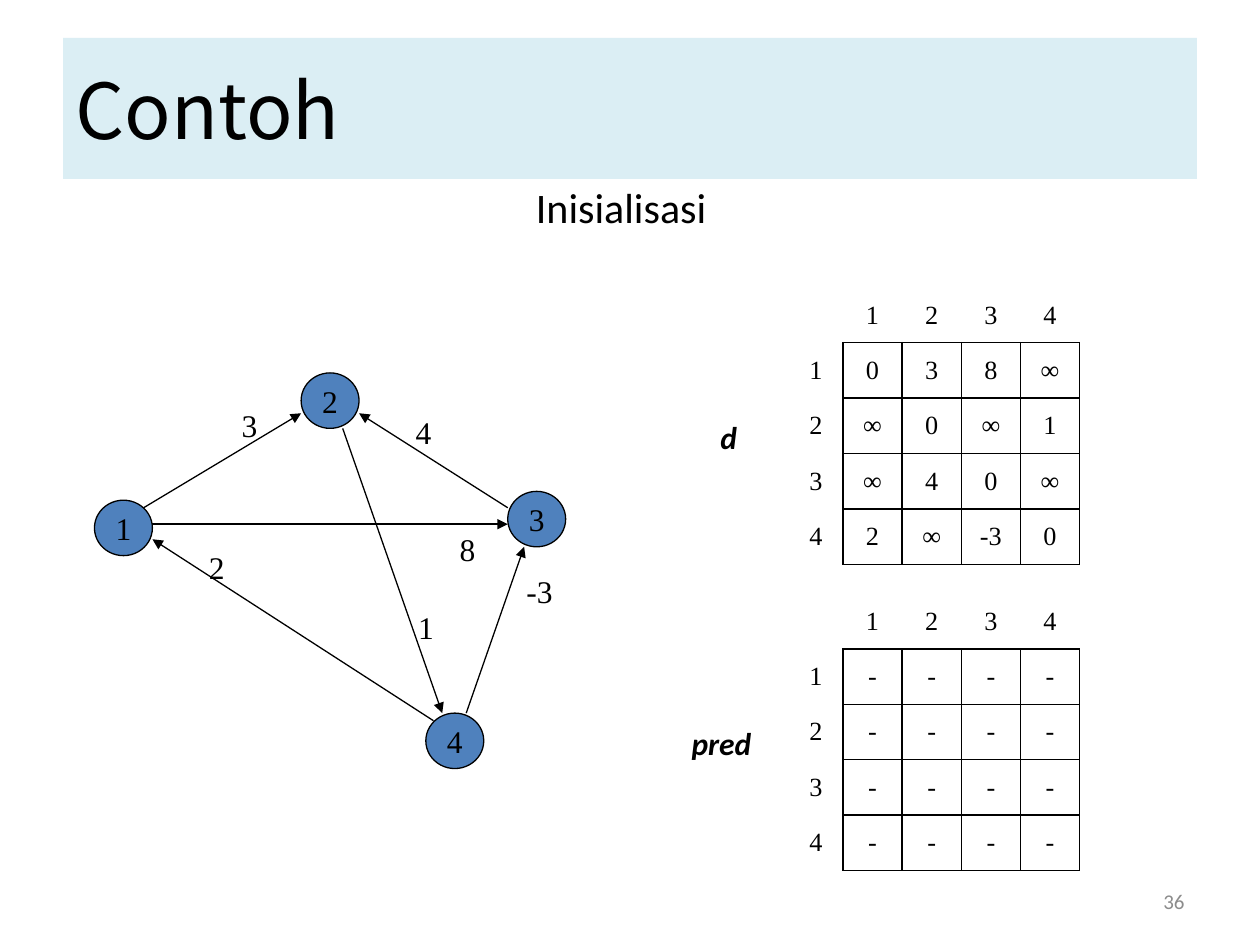
import pptx
import pptx.util
import pptx.dml.color
import pptx.enum.shapes
import pptx.enum.text
import pptx.oxml
import pptx.oxml.ns

Inches = pptx.util.Inches
Pt = pptx.util.Pt
ALIGN = pptx.enum.text.PP_ALIGN
MIDDLE = pptx.enum.text.MSO_ANCHOR.MIDDLE
NONE = pptx.enum.text.MSO_AUTO_SIZE.NONE
SERIF = "Times New Roman"
SANS = "Calibri"


def rgb(value):
    return pptx.dml.color.RGBColor.from_string(value)


def xml(tag, body="", attrs=""):
    return pptx.oxml.parse_xml(
        f'<a:{tag} {pptx.oxml.ns.nsdecls("a")} {attrs}>{body}</a:{tag}>')


class SlideBuilder:
    ink = "000000"
    node_fill = "4F81BD"
    title_fill = "DBEEF4"
    node_size = (0.46, 0.44)

    def __init__(self, prs):
        self.s = prs.slides.add_slide(prs.slide_layouts[5])

    def add_text(self, tf, text, size, font, color=ink, align=ALIGN.LEFT, bold=False):
        p = tf.paragraphs[0]
        p.alignment = align
        r = p.add_run()
        r.text = text
        r.font.size = Pt(size)
        r.font.name = font
        r.font.color.rgb = rgb(color)
        r.font.bold = r.font.italic = bold
        return p

    def title(self, text):
        sp = self.s.shapes.title
        sp.left, sp.top, sp.width, sp.height = map(Inches, (0.5, 0.3, 9, 1.12))
        sp.fill.solid()
        sp.fill.fore_color.rgb = rgb(self.title_fill)
        tf = sp.text_frame
        tf.auto_size = NONE
        tf.vertical_anchor = MIDDLE
        self.add_text(tf, text, 44, "Noto Sans CJK KR")

    def text(self, text, x, y, w, h=0.4, size=18, font=SERIF, wrap=False, anchor=None, **style):
        tf = self.s.shapes.add_textbox(*map(Inches, (x, y, w, h))).text_frame
        tf.word_wrap = wrap
        if anchor is not None:
            tf.vertical_anchor = anchor
        self.add_text(tf, text, size, font, **style)

    def node(self, text, x, y):
        sp = self.s.shapes.add_shape(
            pptx.enum.shapes.MSO_SHAPE.OVAL, *map(Inches, (x, y, *self.node_size)))
        sp.shadow.inherit = False
        sp.fill.solid()
        sp.fill.fore_color.rgb = rgb(self.node_fill)
        sp.line.color.rgb = rgb(self.ink)
        sp.line.width = Pt(0.75)
        tf = sp.text_frame
        tf.word_wrap = False
        tf.vertical_anchor = MIDDLE
        self.add_text(tf, text, 18, SERIF, align=ALIGN.CENTER)

    def arrow(self, *ends):
        cn = self.s.shapes.add_connector(
            pptx.enum.shapes.MSO_CONNECTOR.STRAIGHT, *map(Inches, ends))
        cn.line.color.rgb = rgb(self.ink)
        cn.line.width = Pt(0.75)
        spPr = cn._element.spPr
        spPr.find(pptx.oxml.ns.qn("a:ln")).append(xml("tailEnd", attrs='type="triangle"'))
        spPr.append(xml("effectLst"))

    def borders(self, cell, sides):
        tcPr = cell._tc.get_or_add_tcPr()
        for side in "LRTB":
            body = "<a:noFill/>"
            if side in sides:
                body = f'<a:solidFill><a:srgbClr val="{self.ink}"/></a:solidFill>'
            tcPr.append(xml("ln" + side, body, 'w="12700"'))

    def matrix(self, y, values):
        heads = [str(n + 1) for n in range(len(values))]
        rows = [["", *heads]] + [[head, *row] for head, row in zip(heads, values)]
        size = len(rows)
        frame = self.s.shapes.add_table(
            size, size, *map(Inches, (6.26, y, 2.29, 2.2)))
        table = frame.table
        table.first_row = table.horz_banding = False
        for n in range(size):
            table.columns[n].width = Inches(0.47 if n else 0.43)
            table.rows[n].height = Inches(0.44 if n else 0.43)
        for i, row in enumerate(rows):
            for j, value in enumerate(row):
                cell = table.cell(i, j)
                cell.margin_left = cell.margin_right = Inches(0.07)
                cell.margin_top = cell.margin_bottom = Inches(0.04)
                cell.vertical_anchor = MIDDLE
                if i and j:
                    sides = "LRTB"
                else:
                    sides = "R" if i else "B" if j else ""
                self.borders(cell, sides)
                cell.fill.background()
                if value:
                    p = self.add_text(cell.text_frame, value, 15, SERIF, align=ALIGN.CENTER)
                    p.space_before = Pt(3)


def main():
    prs = pptx.Presentation()
    prs.slide_width = Inches(10)
    prs.slide_height = Inches(7.5)
    b = SlideBuilder(prs)
    b.title("Contoh")
    b.text("36", 7.17, 6.95, 2.33, size=12, font=SANS, wrap=True, anchor=MIDDLE,
           color="8C8C8C", align=ALIGN.RIGHT)
    b.matrix(2.29, ["038∞", "∞0∞1", "∞40∞", ["2", "∞", "-3", "0"]])

    for node in [("1", 0.75, 3.97), ("2", 2.39, 2.96), ("3", 4.03, 3.9), ("4", 3.38, 5.66)]:
        b.node(*node)
    for ends in [
        (1.14, 4.03, 2.39, 3.28),
        (4.03, 4.03, 2.85, 3.28),
        (3.7, 5.66, 4.16, 4.34),
        (2.72, 3.4, 3.51, 5.66),
        (3.44, 5.72, 1.21, 4.28),
        (1.21, 4.16, 4.03, 4.16),
    ]:
        b.arrow(*ends)
    for weight in [
        ("2", 1.56, 4.3, 0.33),
        ("1", 3.22, 4.78, 0.33),
        ("4", 3.2, 3.23, 0.33),
        ("3", 1.82, 3.17, 0.33),
        ("8", 3.55, 4.16, 0.33),
        ("-3", 4.08, 4.49, 0.41),
    ]:
        b.text(*weight)

    b.text("Inisialisasi", 4.06, 1.39, 1.74, 0.5, size=24, font=SANS, align=ALIGN.CENTER)
    b.matrix(4.72, ["----"] * 4)
    for label in [("d", 5.62, 3.27, 0.36), ("pred", 5.39, 5.7, 0.75)]:
        b.text(*label, font=SANS, bold=True)
    prs.save("out.pptx")


if __name__ == "__main__":
    main()
